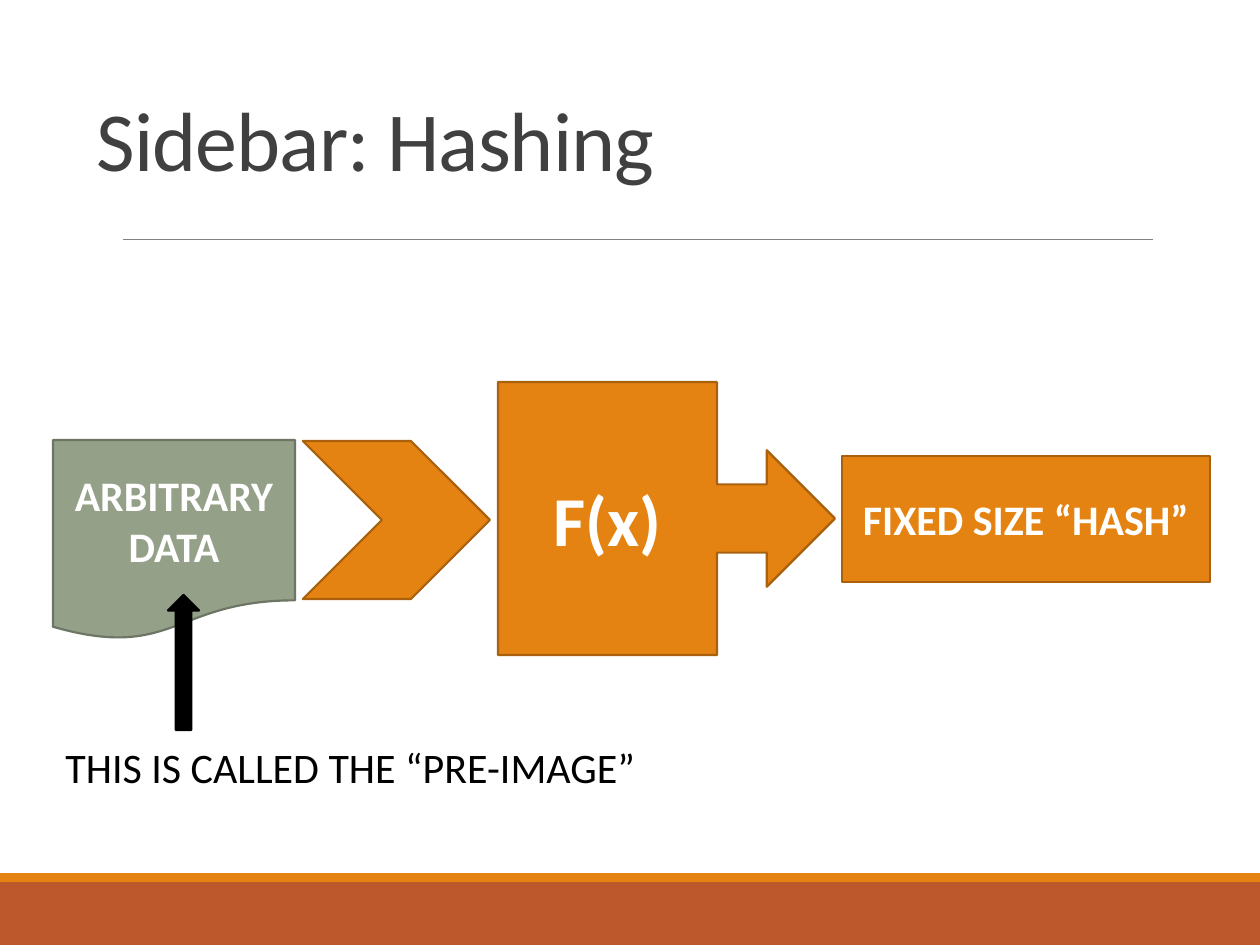
from dataclasses import dataclass

from lxml.etree import SubElement
from pptx import Presentation
from pptx.dml.color import RGBColor
from pptx.enum.shapes import MSO_CONNECTOR, MSO_SHAPE
from pptx.enum.text import MSO_ANCHOR, PP_ALIGN
from pptx.oxml.ns import qn
from pptx.util import Emu, Pt


@dataclass(frozen=True)
class Theme:
    font: str = "Calibri"
    orange: str = "E48312"
    orange_edge: str = "A9610D"
    rust: str = "BD582C"
    sage: str = "94A088"
    sage_edge: str = "6D7665"
    rule: str = "808080"
    heading: str = "404040"
    black: str = "000000"
    white: str = "FFFFFF"
    title_size: int = 48
    function_size: int = 40
    label_size: int = 24
    edge_width: float = 1.25
    rule_width: float = 0.5


THEME = Theme()
PX_PER_INCH = 126
SLIDE = (1260, 945)

TITLE = ("Sidebar: Hashing", (84, 38, 1092, 157))
PRE_IMAGE = ("THIS IS CALLED THE “PRE-IMAGE”", (53, 735, 601, 63))
TITLE_RULE = (123, 239, 1153, 239)

FOOTER = [
    ((0, 882, 1260, 63), THEME.rust),
    ((0, 873, 1260, 9), THEME.orange),
]

HASH_FLOW = [
    (MSO_SHAPE.RIGHT_ARROW_CALLOUT, (498, 382, 337, 273),
     THEME.orange, THEME.orange_edge, "F(x)", THEME.function_size),
    (MSO_SHAPE.FLOWCHART_DOCUMENT, (53, 440, 242, 200),
     THEME.sage, THEME.sage_edge, "ARBITRARY DATA", THEME.label_size),
    (MSO_SHAPE.RECTANGLE, (842, 456, 368, 126),
     THEME.orange, THEME.orange_edge, "FIXED SIZE “HASH”", THEME.label_size),
    (MSO_SHAPE.CHEVRON, (303, 441, 187, 158),
     THEME.orange, THEME.orange_edge, "", THEME.label_size),
]
PRE_IMAGE_POINTER = (MSO_SHAPE.UP_ARROW, (168, 595, 31, 135),
                     THEME.black, THEME.black)


def px(length):
    return Emu(round(length * 914400 / PX_PER_INCH))


def place(box):
    return [px(length) for length in box]


def write(frame, text, size, color, bold=False, align=PP_ALIGN.LEFT,
          anchor=MSO_ANCHOR.MIDDLE, wrap=True):
    frame.word_wrap = wrap
    frame.vertical_anchor = anchor
    frame.text = text
    paragraph = frame.paragraphs[0]
    paragraph.alignment = align
    for run in paragraph.runs:
        run.font.name = THEME.font
        run.font.size = Pt(size)
        run.font.bold = bold
        run.font.color.rgb = RGBColor.from_string(color)
    return paragraph


def add_block(slide, kind, box, fill, edge=None, text="", size=THEME.label_size):
    block = slide.shapes.add_shape(kind, *place(box))
    block.shadow.inherit = False
    block.fill.solid()
    block.fill.fore_color.rgb = RGBColor.from_string(fill)
    if edge:
        block.line.color.rgb = RGBColor.from_string(edge)
        block.line.width = Pt(THEME.edge_width)
    else:
        block.line.fill.background()
    if text:
        write(block.text_frame, text, size, THEME.white, True, PP_ALIGN.CENTER)


def add_rule(slide, ends):
    rule = slide.shapes.add_connector(MSO_CONNECTOR.STRAIGHT, *place(ends))
    rule.line.color.rgb = RGBColor.from_string(THEME.rule)
    rule.line.width = Pt(THEME.rule_width)
    SubElement(rule._element.spPr, qn("a:effectLst"))


def add_title(slide, text, box):
    title = slide.shapes.add_textbox(*place(box))
    paragraph = write(title.text_frame, text, THEME.title_size, THEME.heading,
                      anchor=MSO_ANCHOR.BOTTOM)
    paragraph.line_spacing = 0.85
    paragraph.runs[0]._r.get_or_add_rPr().set("spc", "-50")


def add_caption(slide, text, box):
    caption = slide.shapes.add_textbox(*place(box))
    write(caption.text_frame, text, THEME.label_size, THEME.black,
          anchor=MSO_ANCHOR.TOP, wrap=False)


def main():
    deck = Presentation()
    deck.slide_width, deck.slide_height = place(SLIDE)
    slide = deck.slides.add_slide(deck.slide_layouts[6])
    for box, fill in FOOTER:
        add_block(slide, MSO_SHAPE.RECTANGLE, box, fill)
    add_rule(slide, TITLE_RULE)
    add_title(slide, *TITLE)
    for step in HASH_FLOW:
        add_block(slide, *step)
    add_caption(slide, *PRE_IMAGE)
    add_block(slide, *PRE_IMAGE_POINTER)
    deck.save("out.pptx")


if __name__ == "__main__":
    main()
